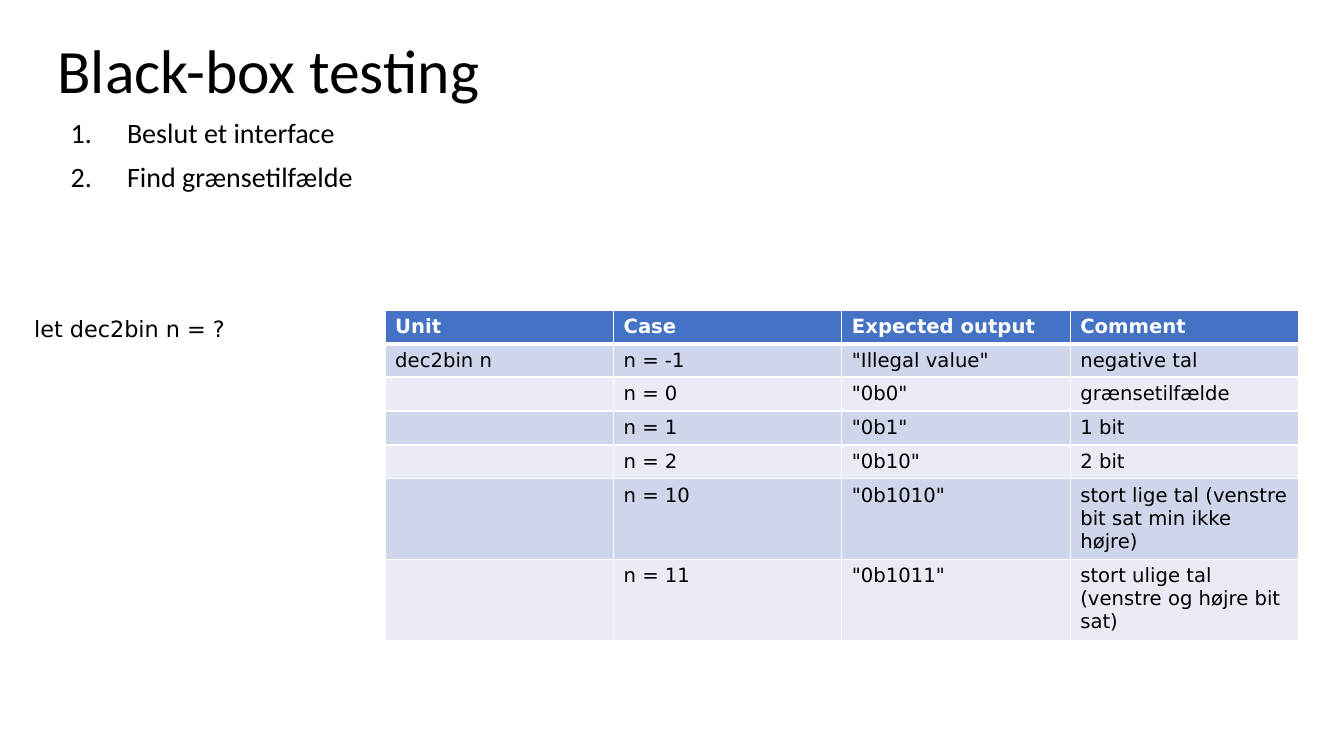
from dataclasses import dataclass

from lxml import etree
from pptx import Presentation
from pptx.dml.color import RGBColor
from pptx.enum.text import MSO_ANCHOR, MSO_AUTO_SIZE, PP_ALIGN
from pptx.oxml.ns import qn
from pptx.util import Inches, Pt

LEFT = PP_ALIGN.LEFT
TOP, MIDDLE = MSO_ANCHOR.TOP, MSO_ANCHOR.MIDDLE
NO_FIT = MSO_AUTO_SIZE.NONE


@dataclass(frozen=True)
class Theme:
    heading_font: str = "Calibri"
    code_font: str = "DejaVu Sans"
    ink: str = "000000"
    white: str = "FFFFFF"
    header: str = "4472C4"
    bands: tuple = ("CFD5EA", "E9EBF5")
    title_size: int = 44
    list_size: int = 20
    code_size: int = 16
    table_size: int = 14


THEME = Theme()

STEPS = ["Beslut et interface", "Find grænsetilfælde"]
TEST_CASES = [
    ("Unit", "Case", "Expected output", "Comment"),
    ("dec2bin n", "n = -1", '"Illegal value"', "negative tal"),
    ("", "n = 0", '"0b0"', "grænsetilfælde"),
    ("", "n = 1", '"0b1"', "1 bit"),
    ("", "n = 2", '"0b10"', "2 bit"),
    ("", "n = 10", '"0b1010"', "stort lige tal (venstre bit sat min ikke højre)"),
    ("", "n = 11", '"0b1011"', "stort ulige tal (venstre og højre bit sat)"),
]
ROW_HEIGHTS = [0.33] * 5 + [0.8] * 2


def write(p, text, *, font, size, color=THEME.ink, bold=False, line=None, before=0):
    p.alignment = LEFT
    p.space_before = Pt(before)
    if line:
        p.line_spacing = line
    if not text:
        p._p.get_or_add_endParaRPr().set("sz", str(size * 100))
        return
    r = p.add_run()
    r.text = text
    r.font.name = font
    r.font.size = Pt(size)
    r.font.bold = bold
    r.font.color.rgb = RGBColor.from_string(color)


def place(sp, box, anchor):
    sp.left, sp.top, sp.width, sp.height = (Inches(v) for v in box)
    tf = sp.text_frame
    tf.word_wrap = True
    tf.auto_size = NO_FIT
    tf.vertical_anchor = anchor
    return tf


def number(p, indent):
    pPr = p._p.get_or_add_pPr()
    pPr.set("marL", str(Inches(indent)))
    pPr.set("indent", str(-Inches(indent)))
    etree.SubElement(pPr, qn("a:buFont"), typeface="+mj-lt")
    etree.SubElement(pPr, qn("a:buAutoNum"), type="arabicPeriod")


def border(cell, side, width):
    ln = etree.SubElement(cell._tc.get_or_add_tcPr(), qn(f"a:ln{side}"), w=str(Pt(width)))
    fill = etree.SubElement(ln, qn("a:solidFill"))
    etree.SubElement(fill, qn("a:srgbClr"), val=THEME.white)


def add_title(s, box):
    tf = place(s.shapes.title, box, MIDDLE)
    write(tf.paragraphs[0], "Black-box testing", font=THEME.heading_font,
          size=THEME.title_size, line=0.9)


def add_steps(s, box):
    tf = place(s.placeholders[1], box, TOP)
    for i, step in enumerate(STEPS):
        p = tf.add_paragraph() if i else tf.paragraphs[0]
        number(p, 0.56)
        write(p, step, font=THEME.heading_font, size=THEME.list_size,
              line=0.9, before=10 if i else 0)


def add_signature(s, box):
    tf = place(s.shapes.add_textbox(0, 0, 0, 0), box, TOP)
    write(tf.paragraphs[0], "let dec2bin n = ?", font=THEME.code_font, size=THEME.code_size)


def add_test_table(s, box):
    n_cols = len(TEST_CASES[0])
    frame = s.shapes.add_table(len(TEST_CASES), n_cols, *(Inches(v) for v in box))
    table = frame.table
    for col in table.columns:
        col.width = Inches(box[2] / n_cols)
    for i, (values, height) in enumerate(zip(TEST_CASES, ROW_HEIGHTS)):
        table.rows[i].height = Inches(height)
        is_header = i == 0
        fill = THEME.header if is_header else THEME.bands[(i - 1) % 2]
        widths = {"L": 1, "R": 1, "T": 3 if i == 1 else 1, "B": 3 if is_header else 1}
        for j, value in enumerate(values):
            cell = table.cell(i, j)
            for side, width in widths.items():
                border(cell, side, width)
            cell.fill.solid()
            cell.fill.fore_color.rgb = RGBColor.from_string(fill)
            write(cell.text_frame.paragraphs[0], value, font=THEME.code_font,
                  size=THEME.table_size, bold=is_header,
                  color=THEME.white if is_header else THEME.ink)


def main():
    prs = Presentation()
    prs.slide_width, prs.slide_height = Inches(13.33), Inches(7.5)
    s = prs.slides.add_slide(prs.slide_layouts[1])
    add_title(s, (0.47, 0, 11.5, 1.45))
    add_steps(s, (0.6, 1.13, 12.73, 1.07))
    add_signature(s, (0.24, 3.08, 4.46, 0.37))
    add_test_table(s, (3.82, 3.08, 9.06, sum(ROW_HEIGHTS)))
    prs.save("out.pptx")


if __name__ == "__main__":
    main()
